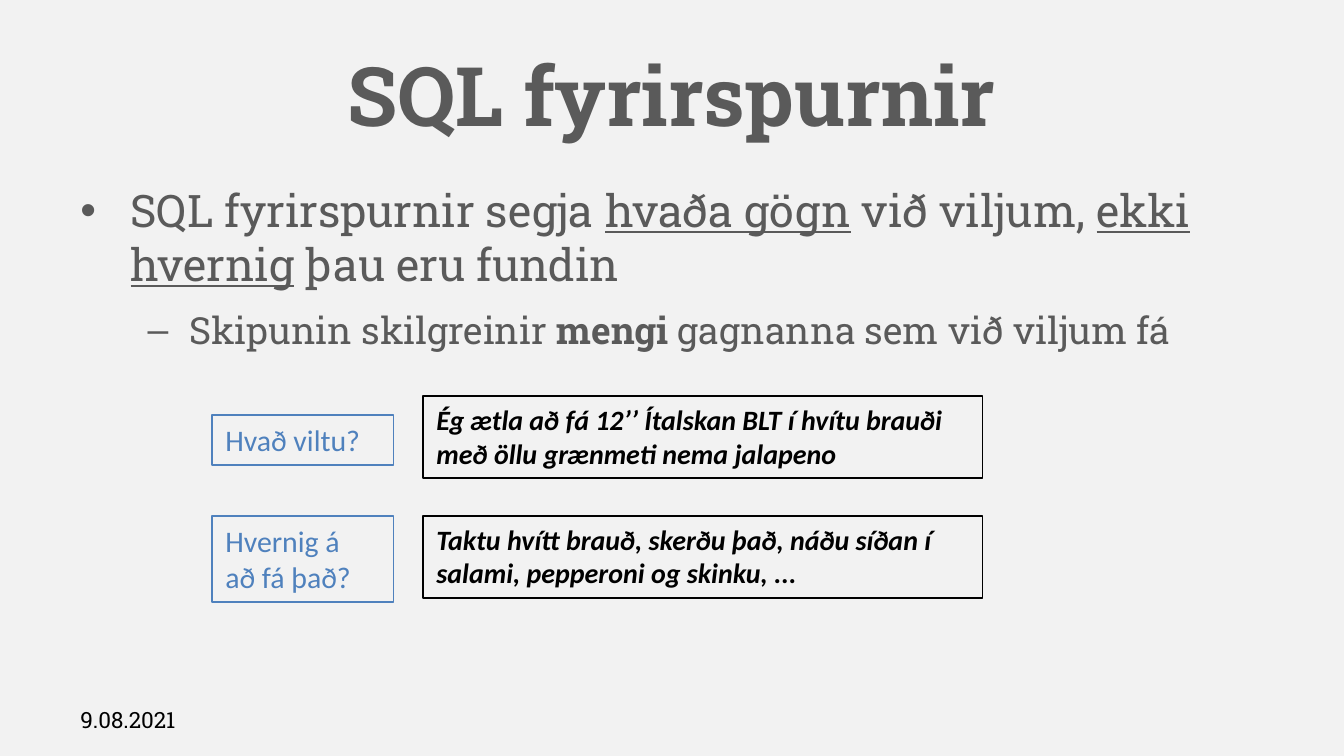
from lxml import etree
from pptx import Presentation
from pptx import util as u
from pptx.dml.color import RGBColor
from pptx.enum import shapes, text
from pptx.oxml.ns import qn

GREY, BLUE, BLACK = "5A5A5A", "4F81BD", "000000"
SLAB, SANS = "Roboto Slab", "Calibri"
MARGIN, CONTENT_WIDTH = 1.27, 22.86


def colour(hex_code):
    return RGBColor.from_string(hex_code)


def write(paragraph, runs, size, font=SLAB, color=GREY, bold=False,
          italic=False, align=text.PP_ALIGN.LEFT, before=0):
    paragraph.alignment = align
    paragraph.space_before = u.Pt(before)
    for words, extra in runs:
        run = paragraph.add_run()
        run.text = words
        face = run.font
        face.name, face.size = font, u.Pt(size)
        face.color.rgb = colour(color)
        face.bold = extra == "bold" or bold
        face.italic = italic
        face.underline = extra == "underline"


def add_bullet(paragraph, mark, indent, hang):
    props = paragraph._p.get_or_add_pPr()
    props.set("marL", str(u.Cm(indent)))
    props.set("indent", str(-u.Cm(hang)))
    etree.SubElement(props, qn("a:buFont"), typeface="Arial")
    etree.SubElement(props, qn("a:buChar"), char=mark)


def add_text_area(slide, left, top, width, height, anchor=text.MSO_ANCHOR.TOP):
    area = slide.shapes.add_textbox(u.Cm(left), u.Cm(top), u.Cm(width), u.Cm(height))
    frame = area.text_frame
    frame.word_wrap = True
    frame.vertical_anchor = anchor
    return frame


def add_framed_text(slide, left, top, width, height, lines, color, **style):
    frame_box = slide.shapes.add_shape(shapes.MSO_SHAPE.RECTANGLE, u.Cm(left),
                                       u.Cm(top), u.Cm(width), u.Cm(height))
    frame_box.shadow.inherit = False
    frame_box.fill.background()
    frame_box.line.color.rgb = colour(color)
    frame_box.line.width = u.Pt(1)
    frame = frame_box.text_frame
    frame.word_wrap = True
    frame.auto_size = text.MSO_AUTO_SIZE.SHAPE_TO_FIT_TEXT
    frame.vertical_anchor = text.MSO_ANCHOR.TOP
    for index, line in enumerate(lines):
        paragraph = frame.add_paragraph() if index else frame.paragraphs[0]
        write(paragraph, [(line, None)], font=SANS, color=color, **style)


def add_question(slide, top, height, lines):
    add_framed_text(slide, 4.01, top, 3.43, height, lines, BLUE, size=16)


def add_answer(slide, top, line):
    add_framed_text(slide, 8, top, 10.57, 1.55, [line], BLACK, size=15,
                    bold=True, italic=True)


def add_points(slide):
    frame = add_text_area(slide, MARGIN, 3.33, CONTENT_WIDTH, 9.42)
    claim, detail = frame.paragraphs[0], frame.add_paragraph()
    add_bullet(claim, "•", 0.95, 0.95)
    write(claim, [("SQL fyrirspurnir segja ", None), ("hvaða gögn", "underline"),
                  (" við viljum, ", None), ("ekki hvernig", "underline"),
                  (" þau eru fundin", None)], size=24)
    detail.level = 1
    add_bullet(detail, "–", 2.06, 0.79)
    write(detail, [("Skipunin skilgreinir ", None), ("mengi", "bold"),
                   (" gagnanna sem við viljum fá", None)], size=20, before=9)


def main():
    deck = Presentation()
    deck.slide_width, deck.slide_height = u.Cm(25.4), u.Cm(14.29)
    slide = deck.slides.add_slide(deck.slide_layouts[6])
    slide.background.fill.solid()
    slide.background.fill.fore_color.rgb = colour("F2F2F2")

    title = add_text_area(slide, MARGIN, 0.58, CONTENT_WIDTH, 2.39, text.MSO_ANCHOR.MIDDLE)
    write(title.paragraphs[0], [("SQL fyrirspurnir", None)], size=44, bold=True,
          align=text.PP_ALIGN.CENTER)
    add_points(slide)

    add_answer(slide, 7.49, "Ég ætla að fá 12’’ Ítalskan BLT í hvítu brauði með öllu grænmeti nema jalapeno")
    add_answer(slide, 9.75, "Taktu hvítt brauð, skerðu það, náðu síðan í salami, pepperoni og skinku, ...")
    add_question(slide, 7.85, 0.94, ["Hvað viltu?"])
    add_question(slide, 9.75, 1.63, ["Hvernig á", "að fá það?"])

    date = add_text_area(slide, MARGIN, 13.23, 5.92, 0.76, text.MSO_ANCHOR.MIDDLE)
    write(date.paragraphs[0], [("9.08.2021", None)], size=12, color=BLACK)
    deck.save("out.pptx")


if __name__ == "__main__":
    main()
